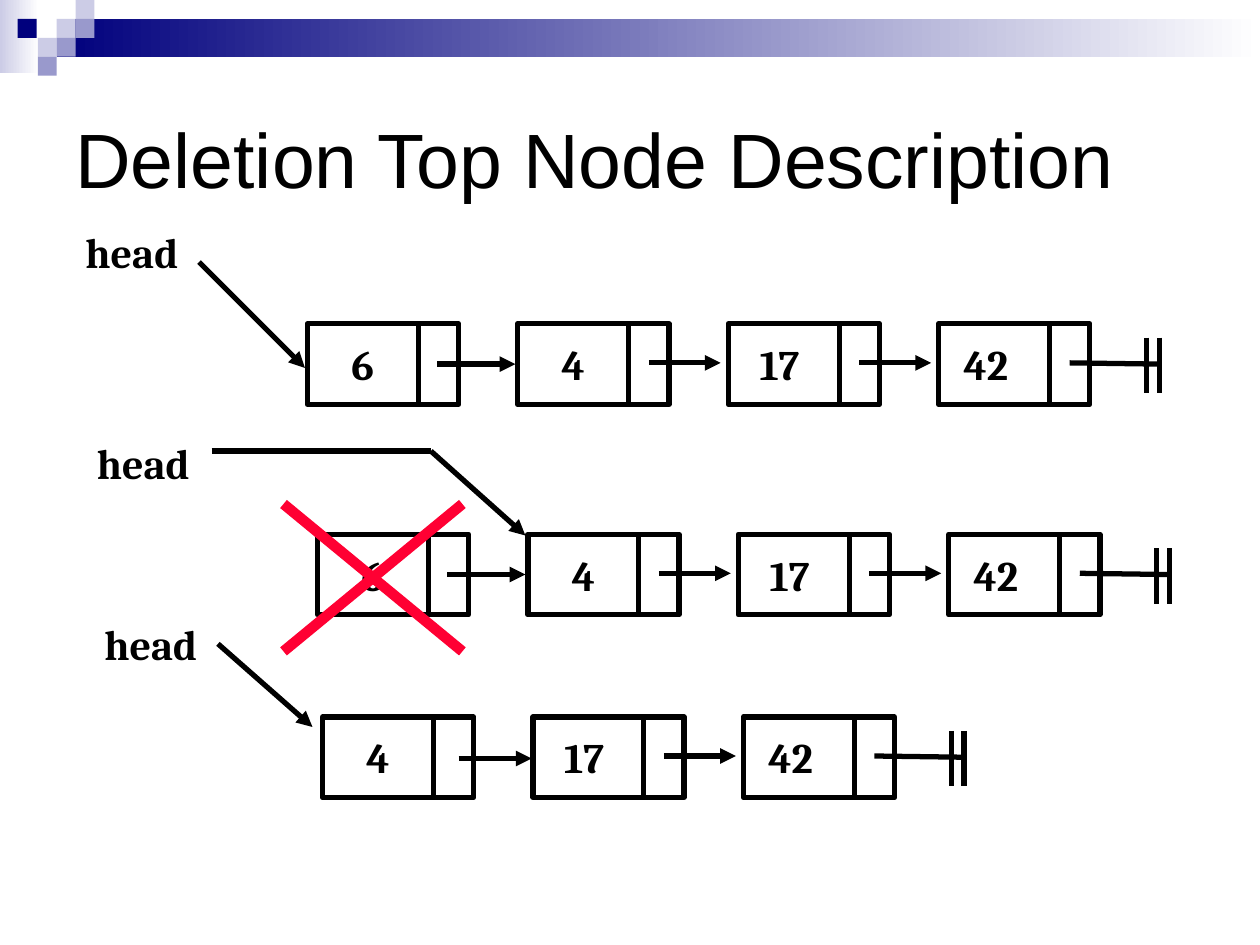
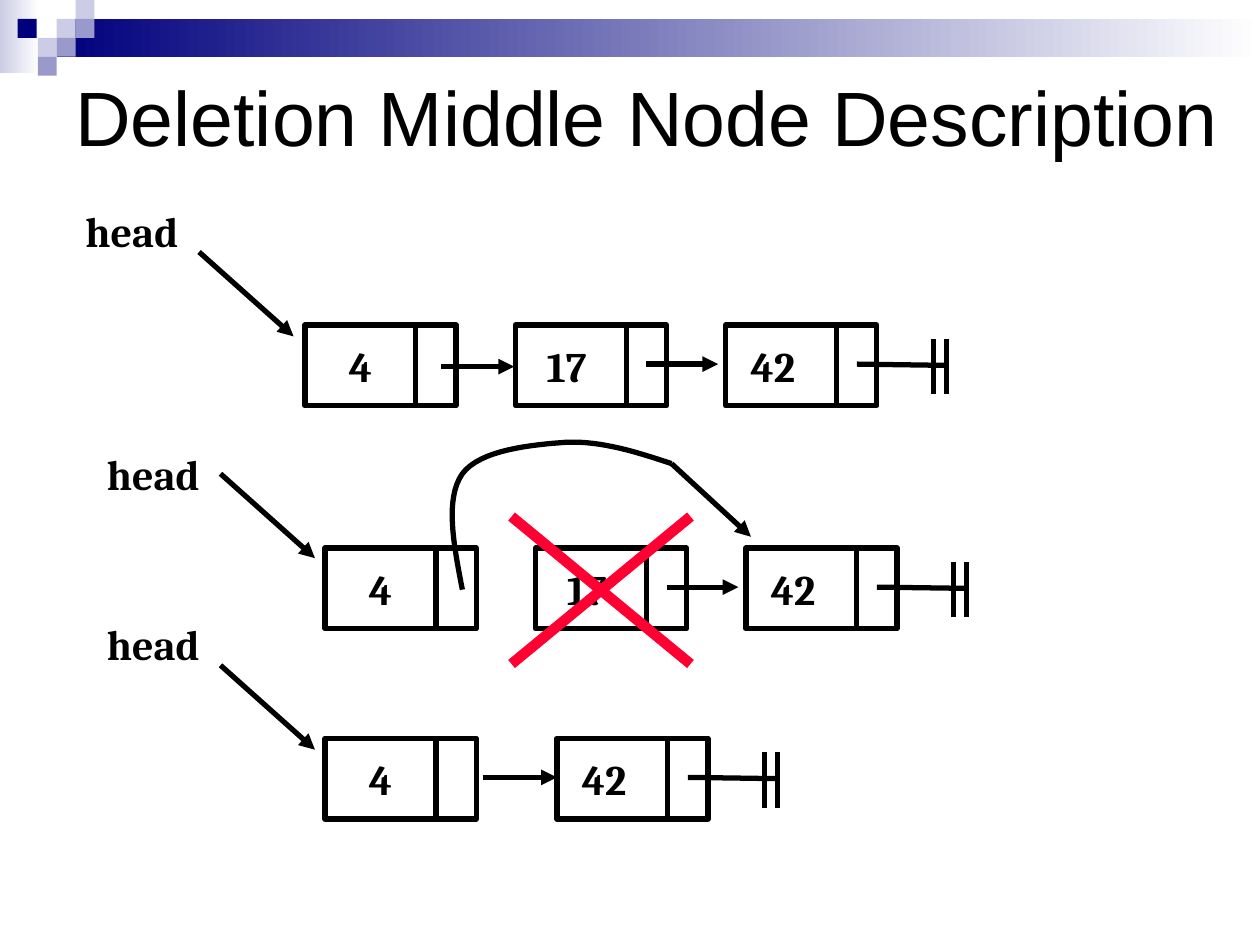
from dataclasses import dataclass
from itertools import pairwise
from typing import NamedTuple, Optional

from lxml import etree
from pptx import Presentation
from pptx import util as u
from pptx.dml.color import RGBColor
from pptx.enum import shapes, text
from pptx.oxml import ns

COLORS = {
    "ink": "000000",
    "cross": "FF0033",
    "navy": "00007D",
    "violet": "9999CC",
    "lilac": "CCCCE6",
    "white": "FFFFFF",
}
TITLE_FONT = "Arial"
NODE_FONT = "Cambria"
NODE_W, NODE_H, CELL_W = 1.2, 0.64, 0.88
PITCH = 1.67
LABEL_DX = {"4": 0.25, "6": 0.25, "17": 0.15, "42": 0.1}
LABEL_W = {1: 0.39, 2: 0.57}
CURVE_STEPS = 16


class Point(NamedTuple):
    x: float
    y: float


class Box(NamedTuple):
    x: float
    y: float
    w: float
    h: float


class Band(NamedTuple):
    box: Box
    start: str


class Square(NamedTuple):
    x: float
    y: float
    color: str


class Link(NamedTuple):
    start: float
    end: float
    drop: float


NODE_LINK = Link(1.04, 1.61, 0.31)
TOUCHING_LINK = Link(1.08, 1.66, 0.33)

BANDS = [
    Band(Box(0, 0, 0.31, 0.58), "lilac"),
    Band(Box(0.45, 0.15, 9.55, 0.3), "navy"),
]
SQUARES = [
    Square(0.45, 0.15, "lilac"),
    Square(0.6, 0, "lilac"),
    Square(0.6, 0.15, "violet"),
    Square(0.3, 0.3, "lilac"),
    Square(0.14, 0.15, "navy"),
    Square(0.45, 0.3, "violet"),
    Square(0.3, 0.45, "violet"),
]


@dataclass
class ListRow:
    start: Point
    values: list[str]
    head: Point
    pointer: list[Point]
    first_link: Optional[Link] = NODE_LINK
    pitch: float = PITCH
    cross: Optional[Box] = None


@dataclass
class ListSlide:
    title: str
    title_box: Box
    rows: list[ListRow]
    bypass: Optional[list[Point]] = None
    bypass_end: Optional[Point] = None


SLIDES = [
    ListSlide(
        "Deletion Top Node Description",
        Box(0.5, 0.5, 9, 1.5),
        [
            ListRow(Point(2.44, 2.57), ["6", "4", "17", "42"], Point(0.58, 1.75),
                    [Point(1.58, 2.08), Point(2.42, 2.92)], Link(1.03, 1.65, 0.32)),
            ListRow(Point(2.52, 4.24), ["6", "4", "17", "42"], Point(0.67, 3.42),
                    [Point(1.68, 3.58), Point(3.42, 3.58), Point(4.17, 4.25)],
                    Link(1.03, 1.65, 0.32), cross=Box(2.25, 4, 1.42, 1.17)),
            ListRow(Point(2.56, 5.69), ["4", "17", "42"], Point(0.73, 4.86),
                    [Point(1.73, 5.11), Point(2.48, 5.77)], TOUCHING_LINK),
        ],
    ),
    ListSlide(
        "Deletion Middle Node Description",
        Box(0.5, 0.17, 9.67, 1.5),
        [
            ListRow(Point(2.42, 2.58), ["4", "17", "42"], Point(0.58, 1.58),
                    [Point(1.58, 2), Point(2.33, 2.67)], TOUCHING_LINK),
            ListRow(Point(2.58, 4.35), ["4", "17", "42"], Point(0.75, 3.51),
                    [Point(1.75, 3.76), Point(2.5, 4.43)], None,
                    cross=Box(4.06, 4.1, 1.42, 1.17)),
            ListRow(Point(2.58, 5.86), ["4", "42"], Point(0.75, 4.86),
                    [Point(1.75, 5.28), Point(2.5, 5.95)], Link(1.25, 1.84, 0.31),
                    pitch=1.84),
        ],
        bypass=[
            Point(3.67, 4.68),
            Point(3.6, 4.32), Point(3.53, 3.96), Point(3.67, 3.76),
            Point(3.81, 3.57), Point(4.22, 3.53), Point(4.5, 3.51),
            Point(4.78, 3.5), Point(5.06, 3.59), Point(5.33, 3.68),
        ],
        bypass_end=Point(5.96, 4.26),
    ),
]


def rgb(name: str) -> RGBColor:
    return RGBColor.from_string(COLORS[name])


def set_line(shape, color: str = "ink", width: float = 3) -> None:
    shape.line.color.rgb = rgb(color)
    shape.line.width = u.Pt(width)


def add_rect(s, box: Box):
    sp = s.shapes.add_shape(shapes.MSO_SHAPE.RECTANGLE, *map(u.Inches, box))
    sp.shadow.inherit = False
    return sp


def add_line(s, start: Point, end: Point, arrow: bool = False,
             color: str = "ink", width: float = 3) -> None:
    c = s.shapes.add_connector(shapes.MSO_CONNECTOR.STRAIGHT,
                               *map(u.Inches, (*start, *end)))
    set_line(c, color, width)
    if arrow:
        etree.SubElement(c.line._get_or_add_ln(), ns.qn("a:tailEnd"), type="triangle")
    etree.SubElement(c._element.spPr, ns.qn("a:effectLst"))


def add_text(s, box: Box, words: str, font: str, size: float, bold: bool = False):
    tf = s.shapes.add_textbox(*map(u.Inches, box)).text_frame
    r = tf.paragraphs[0].add_run()
    r.text = words
    r.font.name = font
    r.font.size = u.Pt(size)
    r.font.bold = bold
    r.font.color.rgb = rgb("ink")
    return tf


def add_label(s, at: Point, words: str, width: float) -> None:
    tf = add_text(s, Box(*at, width, 0.5), words, NODE_FONT, 24, True)
    tf.word_wrap = False
    tf.auto_size = text.MSO_AUTO_SIZE.SHAPE_TO_FIT_TEXT


def add_header(s) -> None:
    for band in BANDS:
        sp = add_rect(s, band.box)
        sp.fill.gradient()
        sp.fill.gradient_angle = 0
        for stop, name in zip(sp.fill.gradient_stops, (band.start, "white")):
            stop.color.rgb = rgb(name)
        sp.line.fill.background()
    for square in SQUARES:
        sp = add_rect(s, Box(square.x, square.y, 0.15, 0.15))
        sp.fill.solid()
        sp.fill.fore_color.rgb = rgb(square.color)
        sp.line.fill.background()


def add_title(s, words: str, box: Box) -> None:
    tf = add_text(s, box, words, TITLE_FONT, 44)
    tf.word_wrap = True
    tf.vertical_anchor = text.MSO_ANCHOR.MIDDLE


def add_node(s, at: Point, value: str) -> None:
    sp = add_rect(s, Box(*at, NODE_W, NODE_H))
    sp.fill.background()
    set_line(sp)
    split = at.x + CELL_W
    add_line(s, Point(split, at.y), Point(split, at.y + NODE_H))
    add_label(s, Point(at.x + LABEL_DX[value], at.y + 0.07), value, LABEL_W[len(value)])


def add_link(s, at: Point, link: Link) -> None:
    y = at.y + link.drop
    add_line(s, Point(at.x + link.start, y), Point(at.x + link.end, y), arrow=True)


def add_null_end(s, at: Point) -> None:
    add_line(s, Point(at.x + 1.04, at.y + 0.31), Point(at.x + 1.76, at.y + 0.32))
    for dx in (1.65, 1.75):
        add_line(s, Point(at.x + dx, at.y + 0.11), Point(at.x + dx, at.y + 0.55))


def add_cross(s, box: Box) -> None:
    right, bottom = box.x + box.w, box.y + box.h
    add_line(s, Point(box.x, box.y), Point(right, bottom), color="cross", width=6)
    add_line(s, Point(right, box.y), Point(box.x, bottom), color="cross", width=6)


def add_row(s, row: ListRow) -> None:
    add_label(s, row.head, "head", 0.98)
    segments = list(pairwise(row.pointer))
    for i, (start, end) in enumerate(segments):
        add_line(s, start, end, arrow=i == len(segments) - 1)
    for i, value in enumerate(row.values):
        at = Point(row.start.x + i * row.pitch, row.start.y)
        add_node(s, at, value)
        link = NODE_LINK if i else row.first_link
        if i == len(row.values) - 1:
            add_null_end(s, at)
        elif link:
            add_link(s, at, link)
    if row.cross:
        add_cross(s, row.cross)


def bezier(points: list[Point], t: float) -> Point:
    weights = ((1 - t) ** 3, 3 * t * (1 - t) ** 2, 3 * t * t * (1 - t), t ** 3)
    return Point(sum(w * p.x for w, p in zip(weights, points)),
                 sum(w * p.y for w, p in zip(weights, points)))


def add_bypass(s, controls: list[Point], end: Point) -> None:
    curve = [
        bezier(controls[i:i + 4], step / CURVE_STEPS)
        for i in range(0, len(controls) - 1, 3)
        for step in range(1, CURVE_STEPS + 1)
    ]
    fb = s.shapes.build_freeform(*map(u.Inches, controls[0]))
    fb.add_line_segments([tuple(map(u.Inches, p)) for p in curve], close=False)
    sp = fb.convert_to_shape()
    sp.shadow.inherit = False
    sp.fill.background()
    set_line(sp)
    add_line(s, controls[-1], end, arrow=True)


def main() -> None:
    prs = Presentation()
    prs.slide_width = u.Inches(10)
    prs.slide_height = u.Inches(7.5)
    for content in SLIDES:
        s = prs.slides.add_slide(prs.slide_layouts[6])
        add_header(s)
        add_title(s, content.title, content.title_box)
        for row in content.rows:
            add_row(s, row)
        if content.bypass:
            add_bypass(s, content.bypass, content.bypass_end)
    prs.save("out.pptx")


if __name__ == "__main__":
    main()
